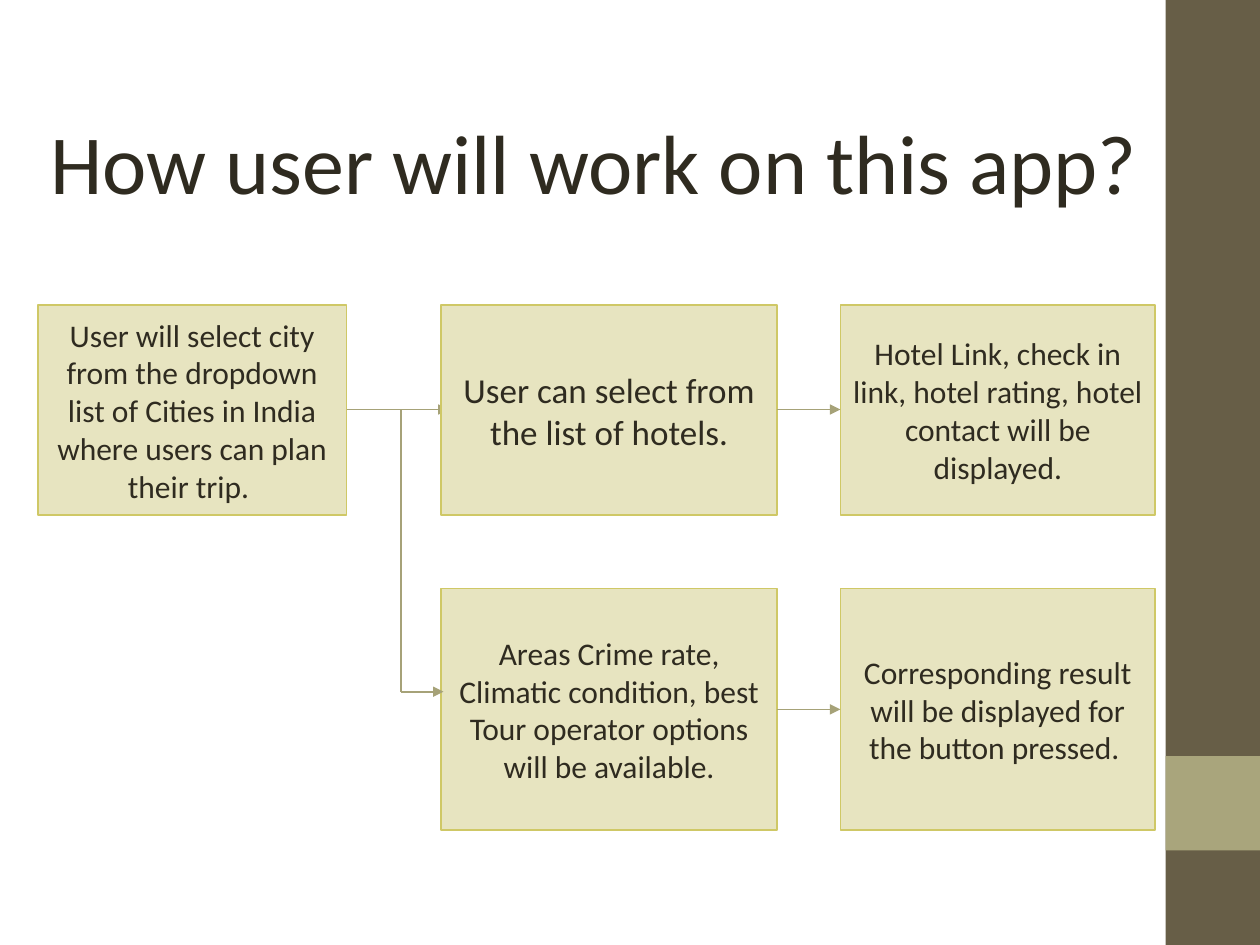
from pptx import Presentation
from pptx.dml.color import RGBColor as Color
from pptx.enum.shapes import MSO_CONNECTOR as Connector, MSO_SHAPE as Preset
from pptx.enum.text import MSO_ANCHOR as Anchor, PP_ALIGN as Align
from pptx.oxml.ns import qn
from pptx.util import Inches, Pt
from lxml.etree import SubElement

COLORS = {
    "band": "675E47",
    "accent": "A9A57C",
    "box": "E7E4C0",
    "border": "CFC866",
    "arrow": "A6A278",
    "text": "2F2B20",
}


class FlowSlide:
    font = "Calibri"

    def __init__(self, presentation):
        self.slide = presentation.slides.add_slide(presentation.slide_layouts[5])

    def color(self, name):
        return Color.from_string(COLORS[name])

    def set_text(self, shape, text, size, align, anchor):
        frame = shape.text_frame
        frame.text = text
        paragraph = frame.paragraphs[0]
        formats = (
            (frame, {"word_wrap": True, "vertical_anchor": anchor}),
            (paragraph, {"alignment": align}),
            (paragraph.runs[0].font, {"name": self.font, "size": Pt(size)}),
        )
        for target, values in formats:
            for attribute, value in values.items():
                setattr(target, attribute, value)
        paragraph.runs[0].font.color.rgb = self.color("text")

    def title(self, text, left, top, width, height):
        shape = self.slide.shapes.title
        place = {"left": left, "top": top, "width": width, "height": height}
        for attribute, value in place.items():
            setattr(shape, attribute, Inches(value))
        self.set_text(shape, text, 48, Align.LEFT, Anchor.TOP)

    def rectangle(self, left, top, width, height, fill, border=None):
        shape = self.slide.shapes.add_shape(
            Preset.RECTANGLE, *map(Inches, (left, top, width, height))
        )
        shape.shadow.inherit = False
        shape.fill.solid()
        shape.fill.fore_color.rgb = self.color(fill)
        if border:
            shape.line.color.rgb = self.color(border)
            shape.line.width = Pt(1)
        else:
            shape.line.fill.background()
        return shape

    def box(self, column, row, text, size=18):
        (left, width), (top, height) = column, row
        shape = self.rectangle(left, top, width, height, "box", "border")
        self.set_text(shape, text, size, Align.CENTER, Anchor.MIDDLE)

    def line(self, start, end, arrow=True):
        connector = self.slide.shapes.add_connector(
            Connector.STRAIGHT, *map(Inches, (*start, *end))
        )
        connector.line.color.rgb = self.color("arrow")
        connector.line.width = Pt(1)
        properties = connector._element.spPr
        if arrow:
            SubElement(properties.find(qn("a:ln")), qn("a:tailEnd"), type="triangle")
        SubElement(properties, qn("a:effectLst"))


def main():
    presentation = Presentation()
    presentation.slide_width = Inches(10)
    presentation.slide_height = Inches(7.5)

    city, choice, result = (0.3, 2.45), (3.5, 2.67), (6.67, 2.5)
    upper, lower = (2.42, 1.67), (4.67, 1.92)
    upper_middle, lower_middle = 3.25, 5.63
    city_right, choice_right = sum(city), sum(choice)
    branch_x, branch_y = 3.18, 5.49

    flow = FlowSlide(presentation)
    flow.rectangle(9.25, 0, 0.75, 7.5, "band")
    flow.rectangle(9.25, 6, 0.75, 0.75, "accent")
    flow.title("How user will work on this app?", 0.3, 0.83, 9.67, 1.7)

    flow.box(city, upper, "User will select city from the dropdown list of Cities "
             "in India where users can plan their trip. ")
    flow.line((city_right, upper_middle), (3.56, upper_middle))
    flow.box(choice, upper, "User can select from the list of hotels.", 20)
    flow.box(result, upper, "Hotel Link, check in link, hotel rating, hotel contact "
             "will be displayed.")
    flow.box(choice, lower, "Areas Crime rate, Climatic condition, best Tour operator "
             "options will be available.")
    flow.box(result, lower, "Corresponding result will be displayed for the button "
             "pressed. ")

    flow.line((branch_x, upper_middle), (branch_x, branch_y), arrow=False)
    flow.line((branch_x, branch_y), (3.52, branch_y))
    for middle in (upper_middle, lower_middle):
        flow.line((choice_right, middle), (result[0], middle))

    presentation.save("out.pptx")


if __name__ == "__main__":
    main()
